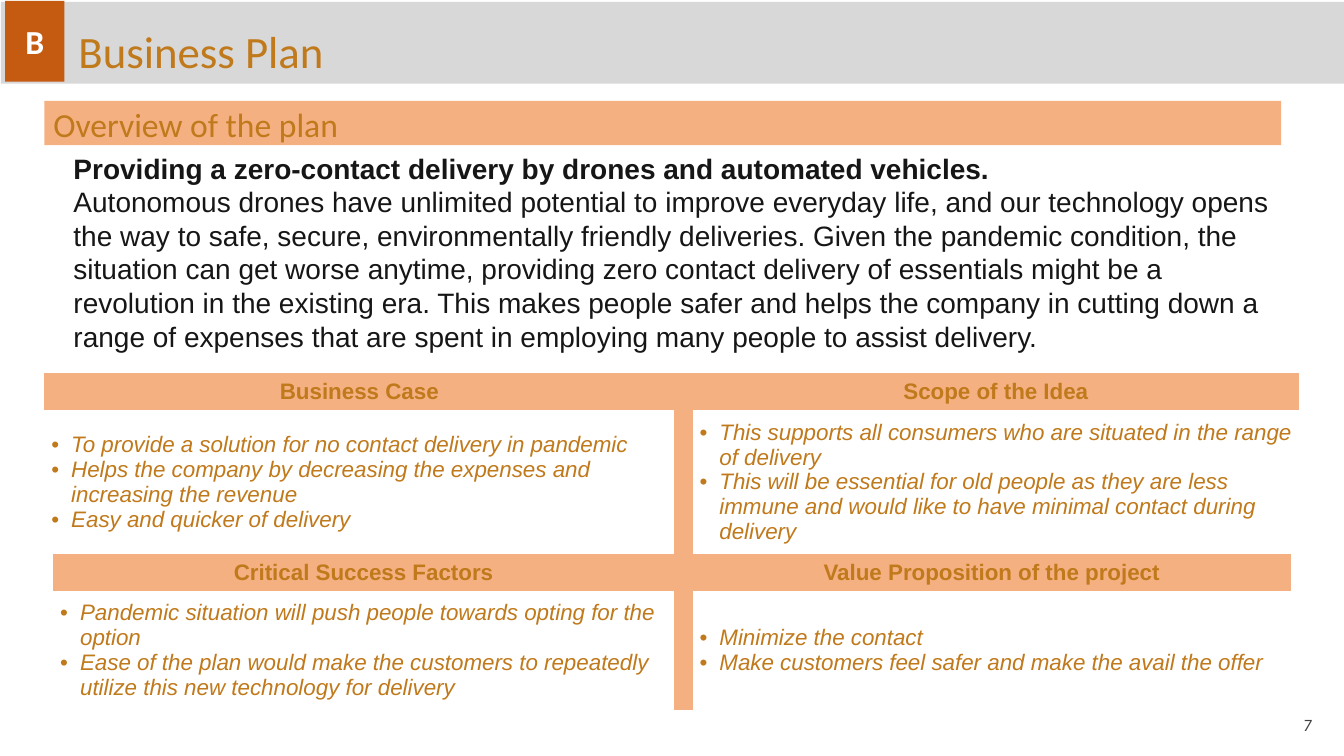
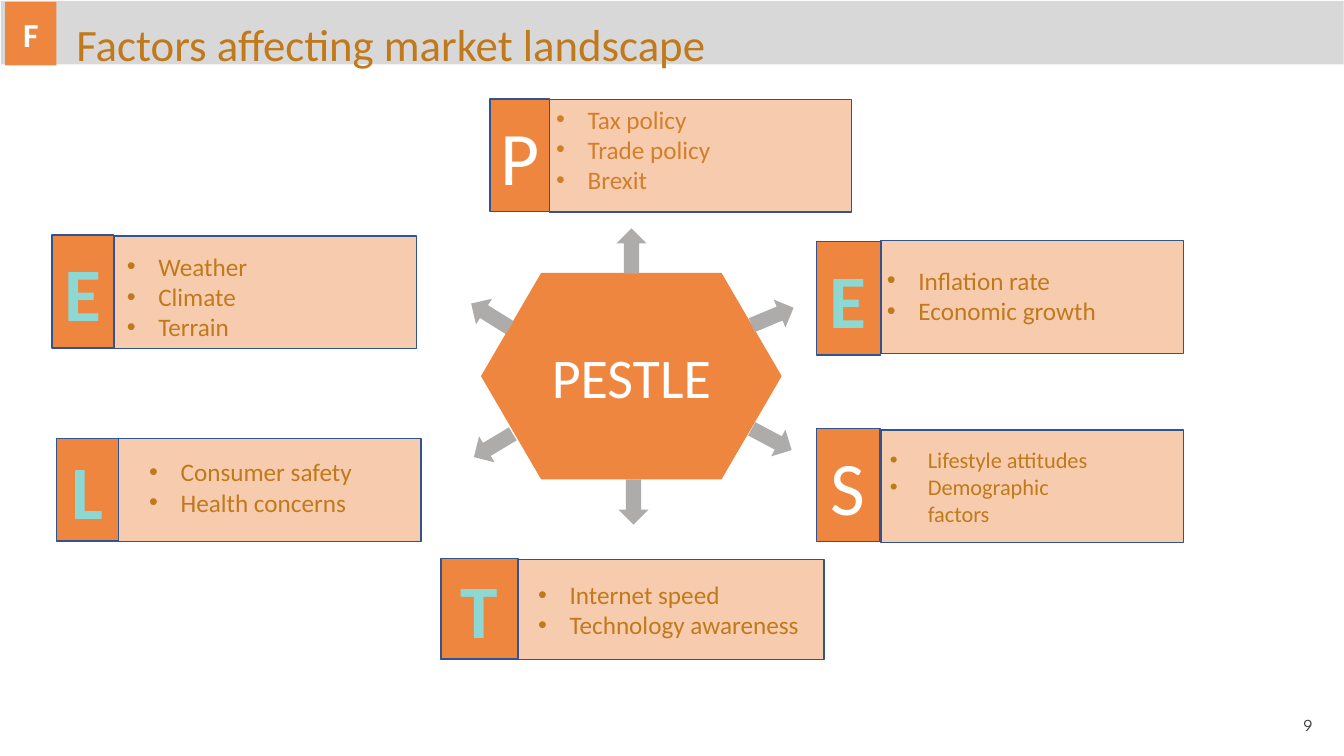
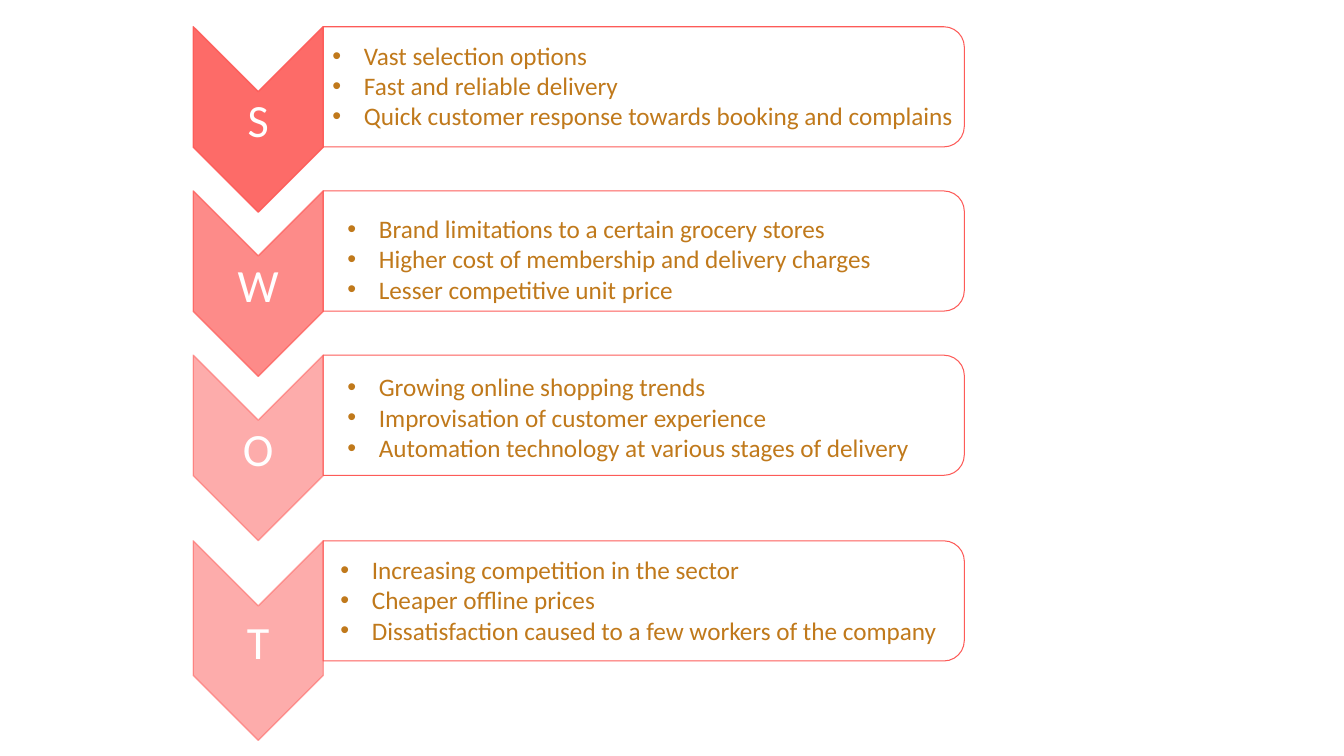
from dataclasses import dataclass

from lxml import etree
from pptx import Presentation, util as u
from pptx.dml.color import RGBColor
from pptx.enum import shapes, text
from pptx.oxml.ns import qn

GEO = shapes.MSO_SHAPE
LEFT, CENTER, RIGHT = text.PP_ALIGN.LEFT, text.PP_ALIGN.CENTER, text.PP_ALIGN.RIGHT
TOP, MIDDLE = text.MSO_ANCHOR.TOP, text.MSO_ANCHOR.MIDDLE
NO_GRID = "{2D5ABB26-0587-4C30-8999-92F81FD0307C}"


@dataclass(frozen=True)
class Theme:
    band: str = "D8D8D8"
    gold: str = "C0791B"
    rust: str = "C55A11"
    orange: str = "EE8640"
    peach: str = "F4B081"
    outline: str = "31538F"
    arrow: str = "AEABAB"
    aqua: str = "8DD8D3"
    coral: str = "FD5B58"
    ink: str = "171616"
    number: str = "424242"
    white: str = "FFFFFF"
    font: str = "Calibri"
    body_font: str = "Arial"
    number_font: str = "League Spartan"
    title_size: int = 32
    heading_size: int = 24
    body_size: int = 20
    list_size: int = 18
    small_size: int = 16
    number_size: int = 12
    letter_size: int = 54
    hub_size: int = 40
    swot_size: int = 33


class Deck:
    def __init__(self, theme):
        self.t = theme
        self.prs = Presentation()
        self.prs.slide_width, self.prs.slide_height = u.Pt(960), u.Pt(540)

    def new_slide(self):
        self.s = self.prs.slides.add_slide(self.prs.slide_layouts[6])

    def set_text(self, tf, lines, size, color=None, font=None, bold=False,
                 italic=False, align=LEFT, indent=0):
        tf.text = "\n".join(lines)
        for p in tf.paragraphs:
            p.alignment = align
            if indent:
                self.bullet(p, indent)
            for r in p.runs:
                r.font.size = u.Pt(size)
                r.font.name = font or self.t.font
                r.font.bold, r.font.italic = bold, italic
                r.font.color.rgb = RGBColor.from_string(color or self.t.gold)

    def bullet(self, p, indent):
        pPr = p._p.get_or_add_pPr()
        pPr.set("marL", str(u.Pt(indent)))
        pPr.set("indent", str(-u.Pt(indent)))
        clr = etree.SubElement(pPr, qn("a:buClr"))
        etree.SubElement(clr, qn("a:srgbClr"), val=self.t.gold)
        etree.SubElement(pPr, qn("a:buFont"), typeface="Arial")
        etree.SubElement(pPr, qn("a:buChar"), char="•")

    def shape(self, kind, box, fill=None, line=None, width=1, rotation=0, adjust=()):
        sp = self.s.shapes.add_shape(kind, *map(u.Pt, box))
        sp.shadow.inherit = False
        sp.rotation = rotation
        for i, value in enumerate(adjust):
            sp.adjustments[i] = value
        if fill:
            sp.fill.solid()
            sp.fill.fore_color.rgb = RGBColor.from_string(fill)
        else:
            sp.fill.background()
        if line:
            sp.line.color.rgb = RGBColor.from_string(line)
            sp.line.width = u.Pt(width)
        else:
            sp.line.fill.background()
        return sp

    def upright(self, kind, box, **style):
        x, y, w, h = box
        turned = (x + (w - h) / 2, y + (h - w) / 2, h, w)
        return self.shape(kind, turned, rotation=90, **style)

    def fade(self, sp, percent, with_line=False):
        colors = sp._element.spPr.xpath("a:solidFill/a:srgbClr")
        if with_line:
            colors += sp._element.spPr.xpath("a:ln/a:solidFill/a:srgbClr")
        for c in colors:
            etree.SubElement(c, qn("a:alpha"), val=str(percent * 1000))

    def label(self, kind, box, caption, size, color, fill, bold=False, line=None):
        sp = self.shape(kind, box, fill, line)
        sp.text_frame.vertical_anchor = MIDDLE
        self.set_text(sp.text_frame, [caption], size, color, bold=bold, align=CENTER)

    def textbox(self, box, lines, size, anchor=TOP, **style):
        tf = self.s.shapes.add_textbox(*map(u.Pt, box)).text_frame
        tf.word_wrap = True
        tf.vertical_anchor = anchor
        self.set_text(tf, lines, size, **style)
        return tf

    def bullets(self, box, lines, size=None, indent=22.5):
        self.textbox(box, lines, size or self.t.list_size, indent=indent)

    def header(self, band, badge, letter, badge_fill, title_at, title, number):
        t = self.t
        self.shape(GEO.RECTANGLE, band, t.band)
        self.label(GEO.RECTANGLE, badge, letter, t.heading_size, t.white, badge_fill, True)
        self.textbox((*title_at, 562, 46), [title], t.title_size)
        self.textbox((887, 497.5, 57.6, 41), [number], t.number_size, MIDDLE,
                     color=t.number, font=t.number_font, align=RIGHT)

    def table(self, at, widths, heights, columns):
        frame = self.s.shapes.add_table(2, 3, *map(u.Pt, (*at, sum(widths), sum(heights))))
        tbl = frame.table
        tbl.first_row = tbl.horz_banding = False
        for style in frame._element.iter(qn("a:tableStyleId")):
            style.text = NO_GRID
        for col, w in zip(tbl.columns, widths):
            col.width = u.Pt(w)
        for row, h in zip(tbl.rows, heights):
            row.height = u.Pt(h)
        tbl.cell(0, 1).merge(tbl.cell(1, 1))
        for cell in tbl.iter_cells():
            cell.margin_left = cell.margin_right = u.Pt(5)
            cell.vertical_anchor = MIDDLE
            cell.fill.background()
        for c in range(3):
            cell = tbl.cell(0, c)
            cell.fill.solid()
            cell.fill.fore_color.rgb = RGBColor.from_string(self.t.peach)
        style = dict(size=self.t.small_size, font=self.t.body_font)
        for c, (heading, points) in zip((0, 2), columns):
            self.set_text(tbl.cell(0, c).text_frame, [heading], bold=True, align=CENTER, **style)
            self.set_text(tbl.cell(1, c).text_frame, points, italic=True, indent=14.2, **style)


def business_plan(d):
    t = d.t
    d.new_slide()
    d.header((0.7, 1.4, 960, 58.3), (3.6, 0.7, 42.5, 57.6), "B", t.rust,
             (49, 13.7), "Business Plan", "7")
    d.table((31.7, 266.4), (450, 13, 433.4), (26.4, 102.6), [
        ("Business Case", [
            "To provide a solution for no contact delivery in pandemic",
            "Helps the company by decreasing the expenses and increasing the revenue",
            "Easy and quicker of delivery"]),
        ("Scope of the Idea", [
            "This supports all consumers who are situated in the range of delivery",
            "This will be essential for old people as they are less immune and would "
            "like to have minimal contact during delivery"])])
    d.table((38, 396), (443.5, 13.2, 427.6), (26.4, 84.4), [
        ("Critical Success Factors", [
            "Pandemic situation will push people towards opting for the option",
            "Ease of the plan would make the customers to repeatedly utilize this new "
            "technology for delivery"]),
        ("Value Proposition of the project", [
            "Minimize the contact",
            "Make customers feel safer and make the avail the offer"])])
    d.shape(GEO.RECTANGLE, (31.7, 72, 883.4, 31.7), t.peach)
    d.textbox((31, 70.6, 376, 36), ["Overview of the plan"], t.heading_size)
    tf = d.textbox((45.4, 104.4, 883.4, 152.6), [
        "Providing a zero-contact delivery by drones and automated vehicles.",
        "Autonomous drones have unlimited potential to improve everyday life, and our "
        "technology opens the way to safe, secure, environmentally friendly deliveries. "
        "Given the pandemic condition, the situation can get worse anytime, providing zero "
        "contact delivery of essentials might be a revolution in the existing era. This "
        "makes people safer and helps the company in cutting down a range of expenses that "
        "are spent in employing many people to assist delivery."],
        t.body_size, color=t.ink, font=t.body_font)
    tf.paragraphs[0].runs[0].font.bold = True


def pestle(d):
    t = d.t
    d.new_slide()
    d.header((0.7, 0.7, 959, 45.4), (3.6, 1.4, 36.7, 45.4), "F", t.orange,
             (47.5, 8.6), "Factors affecting market landscape", "9")
    d.label(GEO.FLOWCHART_PREPARATION, (343.6, 195, 214.8, 147.4), "PESTLE",
            t.hub_size, t.white, t.orange)
    w, h = 32.4, 21.6
    for x, y, angle in [(551.2, 313.9, 28), (352.4, 318.2, 149.1), (451.1, 179.3, 270),
                        (452.5, 358.6, 90), (350.3, 225.4, 212), (551.9, 226.1, 337.3)]:
        d.shape(GEO.RIGHT_ARROW, (x - w / 2, y - h / 2, w, h), t.arrow, rotation=angle)
    d.bullets((390.2, 70.6, 166.3, 72.7), ["Tax policy", "Trade policy", "Brexit"])
    factors = [
        ("P", t.white, (350, 70.7, 42.4, 80.5), (392.4, 71, 216, 80.5)),
        ("E", t.aqua, (583, 172.5, 46, 81.2), (629.2, 172, 216, 80.5)),
        ("S", t.white, (583, 306.2, 45.6, 80.6), (629.2, 307.2, 216, 80.5)),
        ("T", t.aqua, (315, 399, 55, 71.4), (314.8, 399.6, 273.8, 71.3)),
        ("L", t.aqua, (40.5, 313, 44, 73.5), (84.7, 313.2, 216, 73.4)),
        ("E", t.aqua, (37.2, 168, 44, 80.5), (81.4, 168.5, 216, 80.5))]
    for letter, color, tile, panel in factors:
        sp = d.shape(GEO.FLOWCHART_PROCESS, panel, t.orange, t.outline)
        d.fade(sp, 42)
        d.label(GEO.RECTANGLE, tile, letter, t.letter_size, color, t.orange,
                bold=color == t.aqua, line=t.outline)
    d.bullets((626.4, 185.8, 173.5, 51), ["Inflation rate", "Economic growth"])
    d.bullets((628.6, 315.4, 170, 87), ["Lifestyle attitudes", "Demographic factors"],
              t.small_size, 27)
    d.bullets((377.3, 410.4, 213, 51), ["Internet speed", "Technology awareness"])
    d.bullets((99.4, 322.6, 170, 51), ["Consumer safety", "Health concerns"])
    d.bullets((83.5, 175.7, 201.6, 72.7), ["Weather", "Climate", "Terrain"])


def swot(d):
    t = d.t
    d.new_slide()
    rows = [
        ("S", 19.1, 132.5, 90, (230.4, 25.2), [
            "Vast selection options",
            "Fast and reliable delivery",
            "Quick customer response towards booking and complains"]),
        ("W", 136.4, 132.5, 70, (241, 149), [
            "Brand limitations to a certain grocery stores",
            "Higher cost of membership and delivery charges",
            "Lesser competitive unit price"]),
        ("O", 253.7, 132.5, 50, (241, 262), [
            "Growing online shopping trends",
            "Improvisation of customer experience",
            "Automation technology at various stages of delivery"]),
        ("T", 386.3, 142.5, 50, (236, 392.4), [
            "Increasing competition in the sector",
            "Cheaper offline prices",
            "Dissatisfaction caused to a few workers of the company"])]
    for letter, top, height, opacity, at, points in rows:
        box = (138, top, 92.9, height)
        sp = d.upright(GEO.CHEVRON, box, fill=t.coral, line=t.coral, adjust=(0.5,))
        d.fade(sp, opacity, with_line=True)
        d.textbox(box, [letter], t.swot_size, MIDDLE, color=t.white, align=CENTER)
        d.upright(GEO.ROUND_2_SAME_RECTANGLE, (230.8, top, 458, 85.8),
                  line=t.coral, width=0.75, adjust=(0.17, 0))
        d.bullets((*at, 492, 72.7), points)


def main():
    d = Deck(Theme())
    business_plan(d)
    pestle(d)
    swot(d)
    d.prs.save("out.pptx")


if __name__ == "__main__":
    main()
